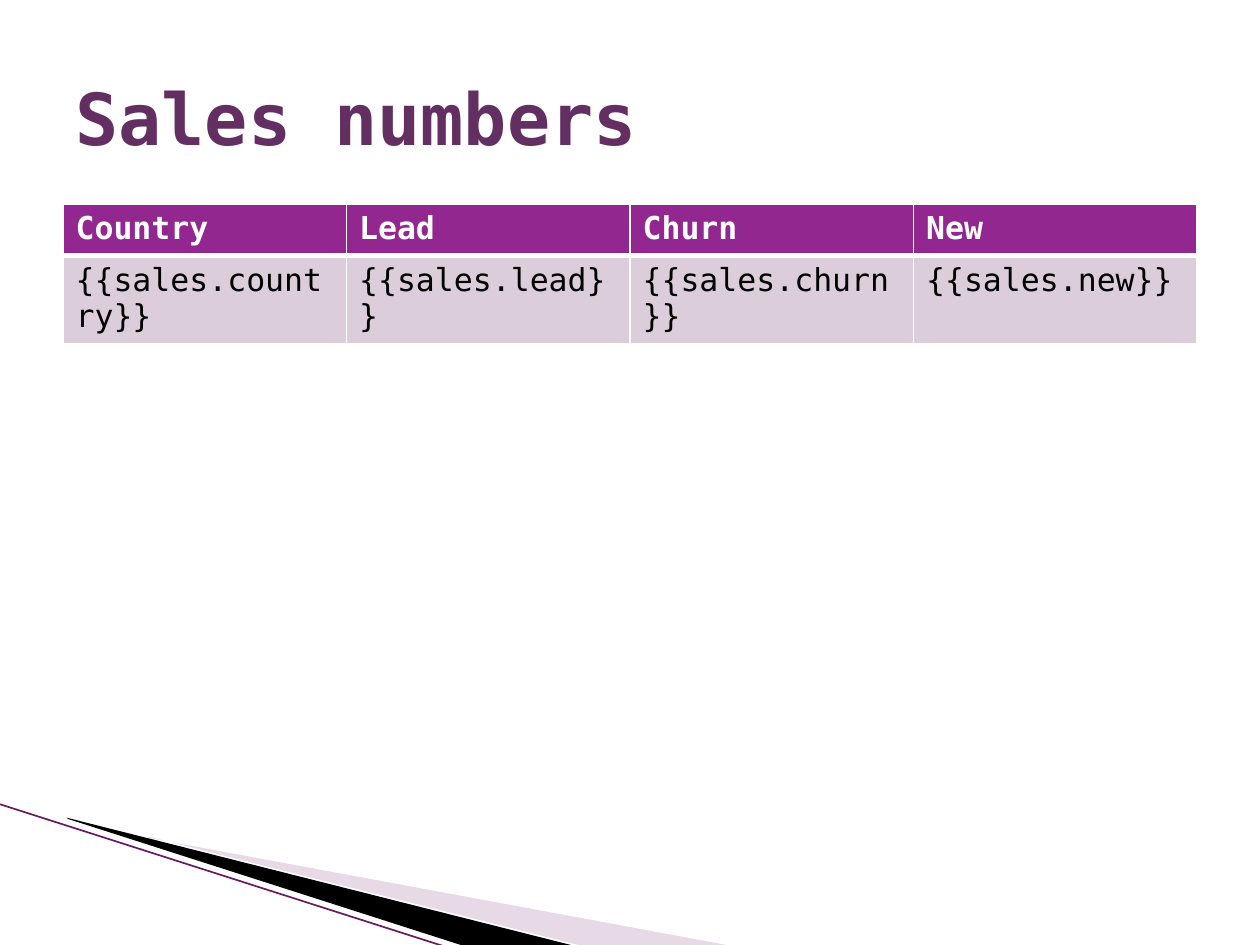
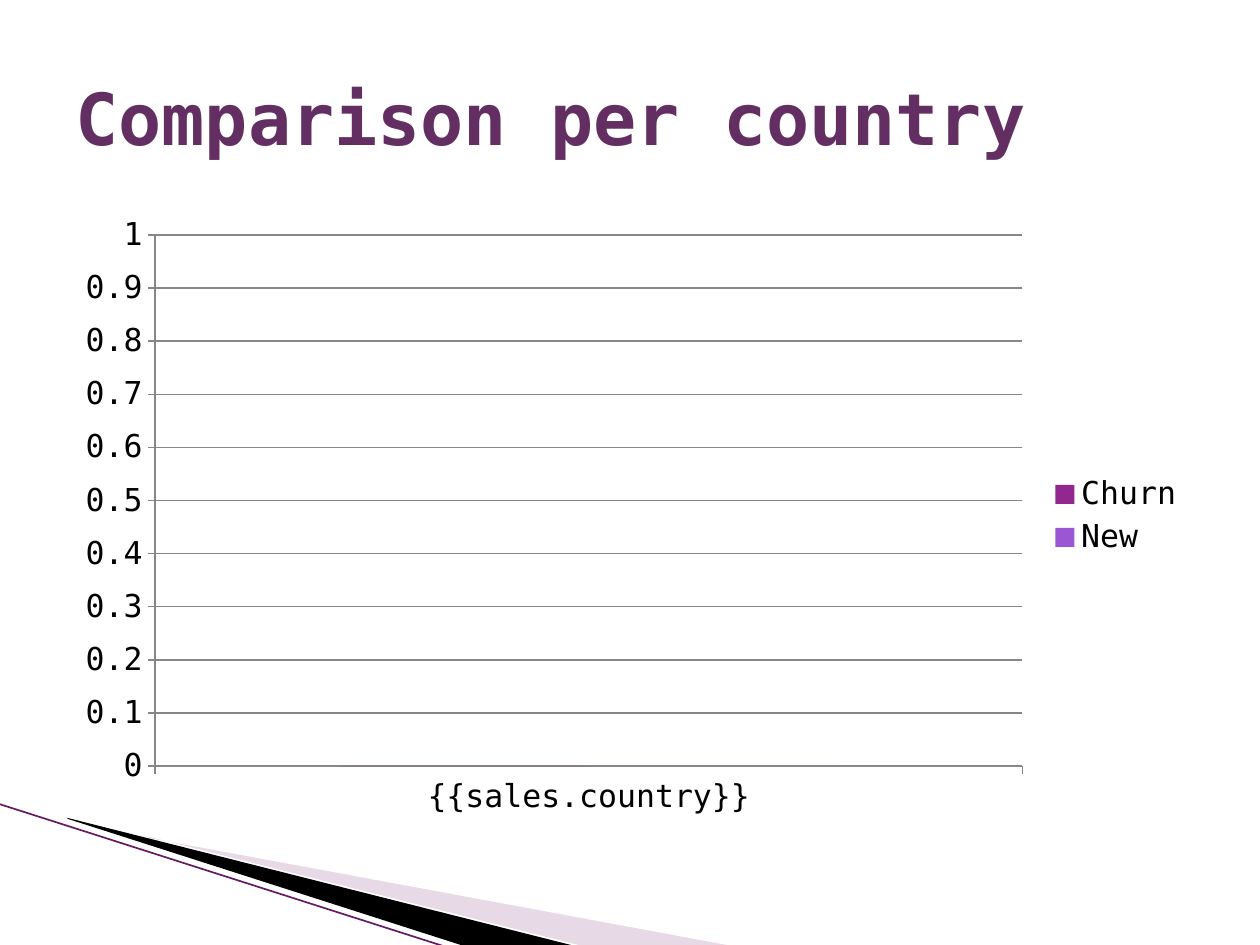
import lxml.etree
import pptx
import pptx.chart.data
import pptx.dml.color
import pptx.enum.chart
import pptx.enum.shapes
import pptx.enum.text
import pptx.oxml.ns
import pptx.util

Inches = pptx.util.Inches
Pt = pptx.util.Pt
qn = pptx.oxml.ns.qn

FONT = "DejaVu Sans Mono"
WHITE, BLACK, GREY = "FFFFFF", "000000", "878787"
TITLE_COLOUR, PURPLE, VIOLET = "632E62", "92278F", "9B57D3"
ROW_TINT, WEDGE_TINT, EDGE_COLOUR = "DCCDDB", "C4A1C2", "661A63"
LEFT, WIDTH, CONTENT_TOP = 0.5, 9, 1.62

# Corner decoration: outline, colour, opacity in percent
WEDGES = [
    ([(1.18, 6.65), (6.58, 7.65), (5.19, 7.65), (1.18, 6.64)], WEDGE_TINT, 40),
    ([(0.53, 6.49), (4.57, 7.51), (3.72, 7.52), (0.54, 6.5)], BLACK, 100),
]
EDGE = (-0.01, 6.38, 3.71, 7.57)

SALES_TITLE = "Sales numbers"
SALES_ROWS = [
    ["Country", "Lead", "Churn", "New"],
    ["{{sales.country}}", "{{sales.lead}}", "{{sales.churn}}", "{{sales.new}}"],
]
ROW_HEIGHT = 0.41

COMPARISON_TITLE = "Comparison per country"
COUNTRIES = ["{{sales.country}}"]
COMPARISON = [("Churn", [0], PURPLE), ("New", [0], VIOLET)]


def rgb(colour):
    """Turn a hex string into a colour."""
    return pptx.dml.color.RGBColor.from_string(colour)


def paint(fill, colour):
    """Give a fill one solid colour."""
    fill.solid()
    fill.fore_color.rgb = rgb(colour)


def style_font(font, size, colour, bold=False):
    """Set the shared typeface with a size, colour and weight."""
    font.name, font.size, font.bold = FONT, Pt(size), bold
    font.color.rgb = rgb(colour)


def add_run(paragraph, text, size, colour, bold=False):
    """Append one styled run."""
    run = paragraph.add_run()
    run.text = text
    style_font(run.font, size, colour, bold)


def add_wedge(slide, points, colour, opacity):
    """Draw one closed wedge of the corner decoration."""
    corners = [(Inches(x), Inches(y)) for x, y in points]
    builder = slide.shapes.build_freeform(*corners[0], scale=1.0)
    builder.add_line_segments(corners[1:], close=True)
    wedge = builder.convert_to_shape()
    wedge.shadow.inherit = False
    wedge.line.fill.background()
    paint(wedge.fill, colour)
    if opacity < 100:
        tint = wedge.fill._xPr.find(".//" + qn("a:srgbClr"))
        lxml.etree.SubElement(tint, qn("a:alpha"), val=str(opacity * 1000))


def add_edge(slide):
    """Draw the thin line along the corner decoration."""
    edge = slide.shapes.add_connector(
        pptx.enum.shapes.MSO_CONNECTOR.STRAIGHT, *map(Inches, EDGE))
    edge.line.color.rgb = rgb(EDGE_COLOUR)
    edge.line.width = Pt(0.95)
    lxml.etree.SubElement(edge._element.spPr, qn("a:effectLst"))


def add_slide(deck, title):
    """Add a slide with the corner decoration and its title."""
    slide = deck.slides.add_slide(deck.slide_layouts[6])
    paint(slide.background.fill, WHITE)
    for wedge in WEDGES:
        add_wedge(slide, *wedge)
    add_edge(slide)
    box = slide.shapes.add_textbox(
        Inches(LEFT), Inches(0.3), Inches(WIDTH), Inches(1.25))
    frame = box.text_frame
    frame.word_wrap = True
    frame.vertical_anchor = pptx.enum.text.MSO_ANCHOR.MIDDLE
    add_run(frame.paragraphs[0], title, 41, TITLE_COLOUR, bold=True)
    return slide


def add_borders(cell, bottom):
    """Frame a cell in white, with its own bottom width in points."""
    properties = cell._tc.get_or_add_tcPr()
    for side, width in (("L", 1), ("R", 1), ("T", 1), ("B", bottom)):
        line = lxml.etree.SubElement(
            properties, qn("a:ln" + side), w=str(Pt(width)))
        solid = lxml.etree.SubElement(line, qn("a:solidFill"))
        lxml.etree.SubElement(solid, qn("a:srgbClr"), val=WHITE)


def add_sales_table(slide):
    """Add the sales table with a dark header row."""
    columns = len(SALES_ROWS[0])
    table = slide.shapes.add_table(
        len(SALES_ROWS), columns, Inches(LEFT), Inches(CONTENT_TOP),
        Inches(WIDTH), Inches(ROW_HEIGHT * len(SALES_ROWS))).table
    for column in table.columns:
        column.width = Inches(WIDTH / columns)
    for r, texts in enumerate(SALES_ROWS):
        header = r == 0
        table.rows[r].height = Inches(ROW_HEIGHT)
        for c, text in enumerate(texts):
            cell = table.cell(r, c)
            add_borders(cell, 3 if header else 1)
            paint(cell.fill, PURPLE if header else ROW_TINT)
            add_run(cell.text_frame.paragraphs[0], text, 18,
                    WHITE if header else BLACK, bold=header)


def add_comparison_chart(slide):
    """Add the clustered columns of churn and new sales."""
    data = pptx.chart.data.CategoryChartData()
    data.categories = COUNTRIES
    for name, values, _ in COMPARISON:
        data.add_series(name, values)
    chart = slide.shapes.add_chart(
        pptx.enum.chart.XL_CHART_TYPE.COLUMN_CLUSTERED, Inches(LEFT),
        Inches(CONTENT_TOP), Inches(WIDTH), Inches(4.95), data).chart
    style_font(chart.font, 18, BLACK)
    chart.has_title = False
    chart.has_legend = True
    chart.legend.position = pptx.enum.chart.XL_LEGEND_POSITION.RIGHT
    chart.legend.include_in_layout = False

    plot = chart.plots[0]
    plot.gap_width, plot.overlap = 150, 0
    plot.vary_by_categories = False
    for series, (_, _, colour) in zip(plot.series, COMPARISON):
        paint(series.format.fill, colour)

    values = chart.value_axis
    values.minimum_scale, values.maximum_scale, values.major_unit = 0, 1, 0.1
    values.has_major_gridlines = True
    for axis in (chart.category_axis, values):
        axis.major_tick_mark = pptx.enum.chart.XL_TICK_MARK.OUTSIDE
        axis.minor_tick_mark = pptx.enum.chart.XL_TICK_MARK.NONE
        axis.tick_labels.number_format = "General"
        axis.tick_labels.number_format_is_linked = False
    for part in (chart.category_axis, values, values.major_gridlines):
        part.format.line.color.rgb = rgb(GREY)
        part.format.line.width = Pt(0.75)


deck = pptx.Presentation()
deck.slide_width, deck.slide_height = Inches(10), Inches(7.5)
add_sales_table(add_slide(deck, SALES_TITLE))
add_comparison_chart(add_slide(deck, COMPARISON_TITLE))
deck.save("out.pptx")
